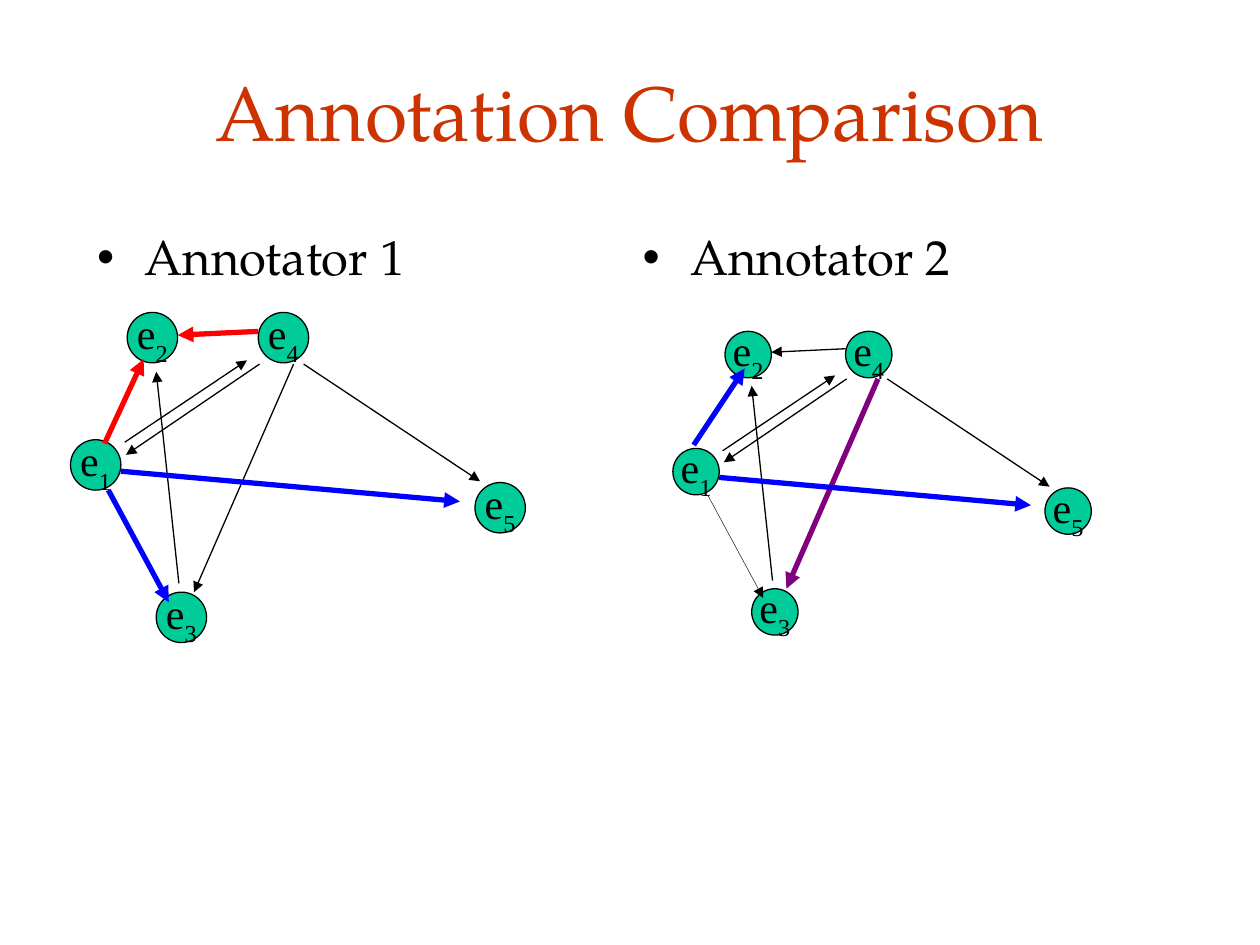
from pptx import Presentation
from pptx.dml.color import RGBColor
from pptx.enum.shapes import MSO_CONNECTOR, MSO_SHAPE
from pptx.enum.text import MSO_ANCHOR, MSO_AUTO_SIZE, PP_ALIGN
from pptx.oxml.ns import qn
from pptx.util import Inches, Pt
from lxml.etree import SubElement

BLACK, RED, BLUE, PURPLE = "000000", "FF0000", "0000FF", "800080"
GRAPH_ORIGIN = (0.56, 2.48)
NODE_SIZE = 0.4
NODES = {
    "2": (1.01, 2.48),
    "1": (0.56, 3.49),
    "3": (1.24, 4.7),
    "5": (3.77, 3.83),
    "4": (2.05, 2.48),
}
EDGES = {
    "3-2": ((1.42, 4.63), (1.24, 2.95)),
    "1-4": ((0.99, 3.51), (1.96, 2.86)),
    "4-3": ((2.33, 2.89), (1.54, 4.7)),
    "4-5": ((2.41, 2.89), (3.81, 3.82)),
    "4-1": ((2.06, 2.89), (1, 3.61)),
    "1-3": ((0.86, 3.89), (1.34, 4.78)),
    "1-5": ((0.96, 3.74), (3.65, 3.98)),
    "1-2": ((0.83, 3.52), (1.14, 2.85)),
    "4-2": ((2.05, 2.63), (1.41, 2.66)),
}
SECOND_EDGES = {**EDGES, "1-2": ((0.74, 3.46), (1.18, 2.8))}
FIRST_STYLES = {"1-3": (BLUE, 3), "1-5": (BLUE, 3), "1-2": (RED, 3), "4-2": (RED, 3)}
SECOND_STYLES = {"4-3": (PURPLE, 3), "1-3": (BLACK, 0.25), "1-5": (BLUE, 3), "1-2": (BLUE, 3)}


def color(value):
    """Turn a hex string into a colour."""
    return RGBColor.from_string(value)


class SlideBuilder:
    """Hold the style and the current slide."""

    heading_font = "TeX Gyre Pagella"
    node_font = "Times New Roman"
    node_fill = "00CC99"
    title_color = "CC3300"

    def __init__(self, slide):
        """Keep the slide to draw on."""
        self.slide = slide

    def format_span(self, span, font, size, shade):
        """Set the font, size and colour of a run."""
        span.font.name = font
        span.font.size = Pt(size)
        span.font.color.rgb = color(shade)

    def placeholder(self, index, text, bounds, size, shade):
        """Fill and move a placeholder and return its paragraph."""
        box = self.slide.placeholders[index]
        box.left, box.top, box.width, box.height = map(Inches, bounds)
        frame = box.text_frame
        frame.text = text
        frame.auto_size = MSO_AUTO_SIZE.NONE
        para = frame.paragraphs[0]
        self.format_span(para.runs[0], self.heading_font, size, shade)
        return para

    def title(self, text):
        """Write the centred slide title."""
        para = self.placeholder(0, text, (0.75, 0.25, 8.5, 1.25), 44, self.title_color)
        para.alignment = PP_ALIGN.CENTER

    def bullet(self, index, text, left):
        """Write a column with one bullet."""
        para = self.placeholder(index, text, (left, 1.75, 4.17, 4.5), 28, BLACK)
        para.space_before = Pt(7)
        properties = para._p.get_or_add_pPr()
        properties.set("marL", str(Inches(0.38)))
        properties.set("indent", str(Inches(-0.38)))
        SubElement(properties, qn("a:buChar")).set("char", "•")

    def node(self, group, number, position, size):
        """Draw a round node with a subscripted name."""
        shape = group.shapes.add_shape(
            MSO_SHAPE.OVAL, *map(Inches, position), Inches(size), Inches(size))
        shape.shadow.inherit = False
        shape.fill.solid()
        shape.fill.fore_color.rgb = color(self.node_fill)
        shape.line.color.rgb = color(BLACK)
        shape.line.width = Pt(0.75)
        frame = shape.text_frame
        frame.word_wrap = False
        frame.vertical_anchor = MSO_ANCHOR.MIDDLE
        para = frame.paragraphs[0]
        para.alignment = PP_ALIGN.CENTER
        for text in ("e", number):
            span = para.add_run()
            span.text = text
            self.format_span(span, self.node_font, 24, BLACK)
        para.runs[1].font._element.set("baseline", "-31000")

    def arrow(self, group, start, end, shade, width):
        """Draw a straight arrow."""
        line = group.shapes.add_connector(
            MSO_CONNECTOR.STRAIGHT, *map(Inches, (*start, *end)))
        line.line.color.rgb = color(shade)
        line.line.width = Pt(width)
        SubElement(line.line._get_or_add_ln(), qn("a:tailEnd")).set("type", "triangle")
        SubElement(line._element.spPr, qn("a:effectLst"))

    def graph(self, origin, scale, edges, styles):
        """Draw the scaled graph of one annotator."""
        def place(point):
            """Map a graph point to the slide."""
            return [new + (value - old) * scale
                    for new, value, old in zip(origin, point, GRAPH_ORIGIN)]

        group = self.slide.shapes.add_group_shape()
        for number, position in NODES.items():
            self.node(group, number, place(position), NODE_SIZE * scale)
        for name, (start, end) in edges.items():
            self.arrow(group, place(start), place(end), *styles.get(name, (BLACK, 0.75)))


def main():
    """Build and save the deck."""
    deck = Presentation()
    deck.slide_width, deck.slide_height = Inches(10), Inches(7.5)
    page = SlideBuilder(deck.slides.add_slide(deck.slide_layouts[3]))
    page.title("Annotation Comparison")
    page.bullet(1, "Annotator 1", 0.67)
    page.bullet(2, "Annotator 2", 5)
    page.graph((5.34, 2.63), 0.92, SECOND_EDGES, SECOND_STYLES)
    page.graph(GRAPH_ORIGIN, 1, EDGES, FIRST_STYLES)
    deck.save("out.pptx")


if __name__ == "__main__":
    main()
